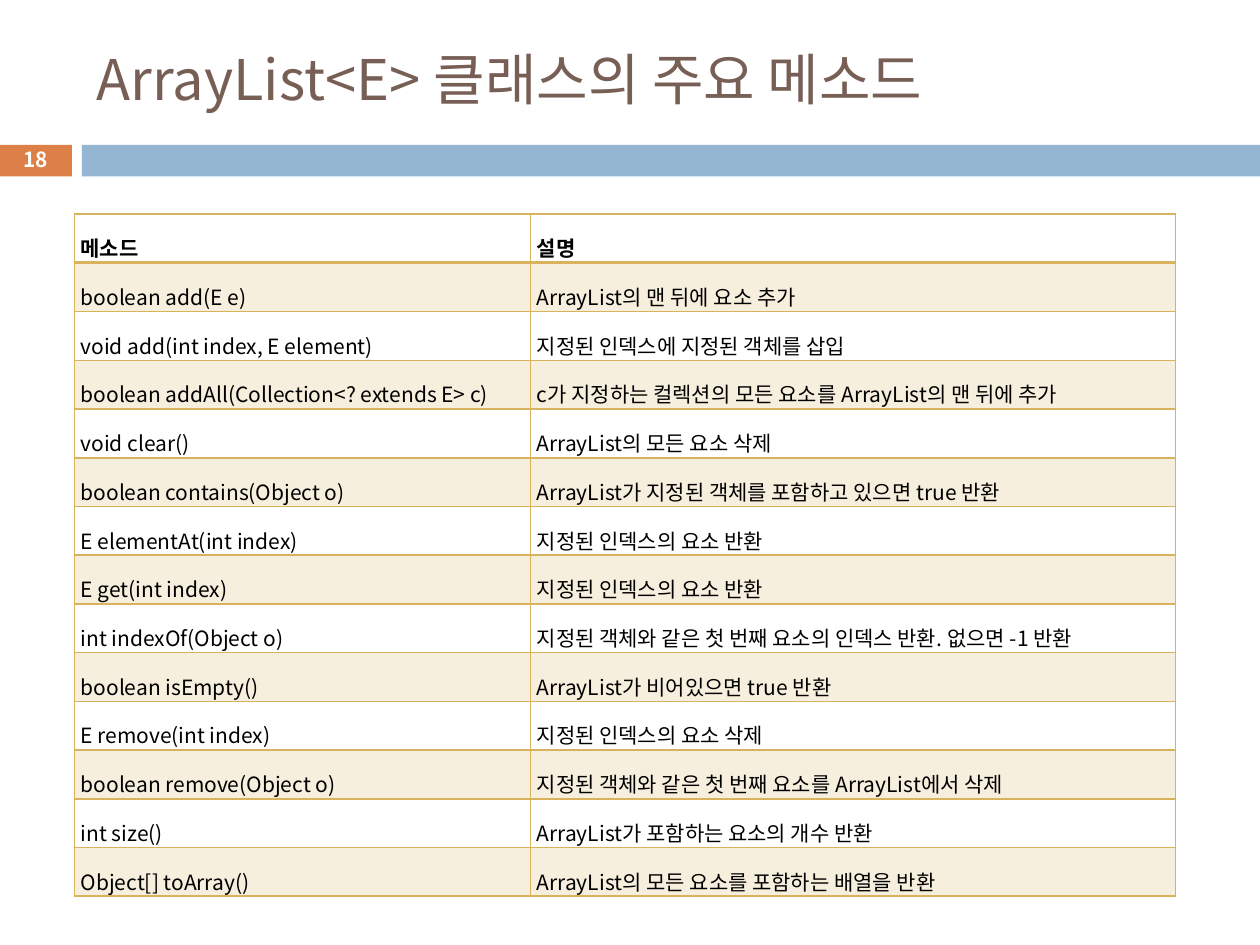
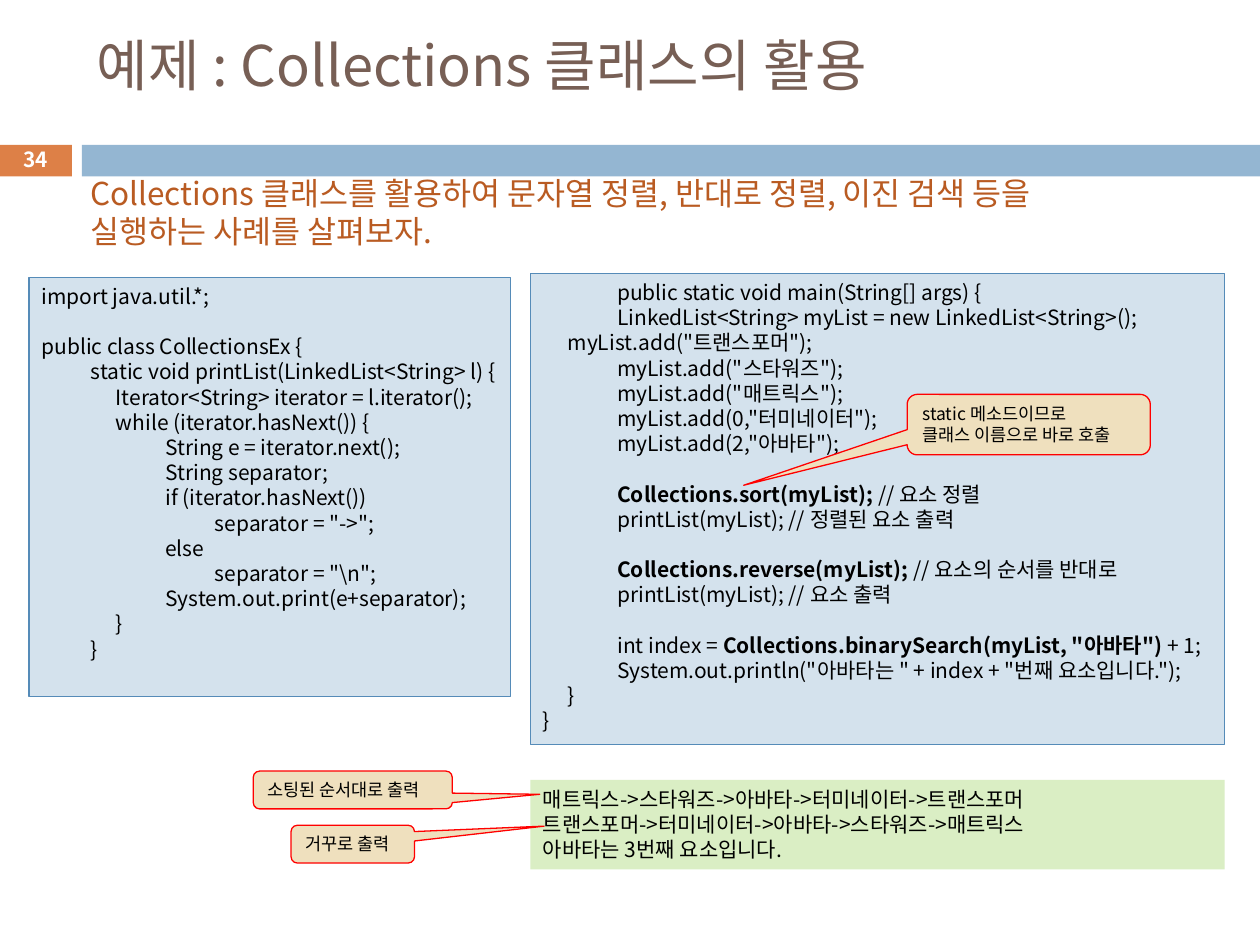
from lxml.etree import SubElement
from pptx import Presentation
from pptx.dml.color import RGBColor
from pptx.enum.shapes import MSO_SHAPE as Preset
from pptx.enum.text import MSO_ANCHOR as Anchor, PP_ALIGN as Align
from pptx.oxml.ns import qn
from pptx.util import Pt

FONT = "Noto Sans CJK KR"
COLORS = {
    "title": "775F55",
    "number_band": "DD8047",
    "title_band": "94B6D2",
    "white": "FFFFFF",
    "text": "000000",
    "gold": "D8B25C",
    "code_fill": "D4E2ED",
    "code_line": "558BB8",
    "output_fill": "DAEEC4",
    "callout_fill": "EFE0BE",
    "callout_line": "FF0000",
    "intro": "B95B22",
}
TAB_STEP = 14.17
TAB_COUNT = 7
ROW_HEIGHT = 27.86
COLUMN_WIDTHS = (260.64, 368.64)

METHODS = [
    ("메소드", "설명"),
    ("boolean add(E e)", "ArrayList의 맨 뒤에 요소 추가"),
    ("void add(int index, E element)", "지정된 인덱스에 지정된 객체를 삽입"),
    ("boolean addAll(Collection<? extends E> c)", "c가 지정하는 컬렉션의 모든 요소를 ArrayList의 맨 뒤에 추가"),
    ("void clear()", "ArrayList의 모든 요소 삭제"),
    ("boolean contains(Object o)", "ArrayList가 지정된 객체를 포함하고 있으면 true 반환"),
    ("E elementAt(int index)", "지정된 인덱스의 요소 반환"),
    ("E get(int index)", "지정된 인덱스의 요소 반환"),
    ("int indexOf(Object o)", "지정된 객체와 같은 첫 번째 요소의 인덱스 반환. 없으면 -1 반환"),
    ("boolean isEmpty()", "ArrayList가 비어있으면 true 반환"),
    ("E remove(int index)", "지정된 인덱스의 요소 삭제"),
    ("boolean remove(Object o)", "지정된 객체와 같은 첫 번째 요소를 ArrayList에서 삭제"),
    ("int size()", "ArrayList가 포함하는 요소의 개수 반환"),
    ("Object[] toArray()", "ArrayList의 모든 요소를 포함하는 배열을 반환"),
]

PRINT_LIST_CODE = r"""import java.util.*;
	
public class CollectionsEx {
		static void printList(LinkedList<String> l) {
			Iterator<String> iterator = l.iterator();
			while (iterator.hasNext()) {
					String e = iterator.next();
					String separator;
					if (iterator.hasNext())
							separator = "->";
					else
							separator = "\n";
					System.out.print(e+separator);
			}
		}"""

MAIN_CODE = """\
			public static void main(String[] args) {
			LinkedList<String> myList = new LinkedList<String>();
	myList.add("트랜스포머");
			myList.add("스타워즈");
			myList.add("매트릭스");
			myList.add(0,"터미네이터");
			myList.add(2,"아바타");
			
			**Collections.sort(myList); **// 요소 정렬
			printList(myList); // 정렬된 요소 출력
			
			**Collections.reverse(myList); **// 요소의 순서를 반대로
			printList(myList); // 요소 출력
			
			int index = **Collections.binarySearch(myList, "아바타") **+ 1;
			System.out.println("아바타는 " + index + "번째 요소입니다.");
	}
}"""

OUTPUT = """매트릭스->스타워즈->아바타->터미네이터->트랜스포머
트랜스포머->터미네이터->아바타->스타워즈->매트릭스
아바타는 3번째 요소입니다."""

INTRO = """Collections 클래스를 활용하여 문자열 정렬, 반대로 정렬, 이진 검색 등을
실행하는 사례를 살펴보자."""


def color(name):
    return RGBColor.from_string(COLORS[name])


def add_span(para, text, size, ink="text", bold=False):
    span = para.add_run()
    span.text = text
    font = span.font
    font.size, font.bold, font.name = Pt(size), bold, FONT
    font.color.rgb = color(ink)
    SubElement(font._element, qn("a:ea"), typeface=FONT)


def set_tabs(para):
    tabs = SubElement(para._p.get_or_add_pPr(), qn("a:tabLst"))
    for stop in range(1, TAB_COUNT + 1):
        SubElement(tabs, qn("a:tab"), pos=str(Pt(stop * TAB_STEP)), algn="l")


def write_lines(box, text, size, ink="text"):
    frame = box.text_frame
    frame.word_wrap = True
    frame.vertical_anchor = Anchor.TOP
    for index, line in enumerate(text.split("\n")):
        para = frame.add_paragraph() if index else frame.paragraphs[0]
        para.alignment = Align.LEFT
        para.line_spacing = Pt(1.2 * size)
        if "\t" in line:
            set_tabs(para)
        for part, words in enumerate(line.split("**")):
            if words:
                add_span(para, words, size, ink, bold=part % 2 == 1)


def write_label(page, text, place, size, ink, align=Align.LEFT, bold=False):
    box = page.shapes.add_textbox(*map(Pt, place))
    frame = box.text_frame
    frame.word_wrap = True
    frame.vertical_anchor = Anchor.MIDDLE
    frame.paragraphs[0].alignment = align
    add_span(frame.paragraphs[0], text, size, ink, bold)


def add_panel(page, place, fill, line=None, preset=Preset.RECTANGLE):
    panel = page.shapes.add_shape(preset, *map(Pt, place))
    panel.shadow.inherit = False
    panel.fill.solid()
    panel.fill.fore_color.rgb = color(fill)
    if line:
        panel.line.color.rgb = color(line)
        panel.line.width = Pt(0.75)
    else:
        panel.line.fill.background()
    return panel


def add_code(page, place, text):
    panel = add_panel(page, place, "code_fill", "code_line")
    panel.text_frame.margin_right = 0
    write_lines(panel, text, 12)


def add_callout(page, place, pointer, text):
    callout = add_panel(page, place, "callout_fill", "callout_line", Preset.ROUNDED_RECTANGULAR_CALLOUT)
    for index, value in enumerate((*pointer, 0.167)):
        callout.adjustments[index] = value
    write_lines(callout, text, 10)


def add_page(deck, number, title, title_top, title_height):
    page = deck.slides.add_slide(deck.slide_layouts[6])
    add_panel(page, (-0.72, 82.8, 41.76, 18), "number_band")
    add_panel(page, (46.8, 82.8, 673.2, 18), "title_band")
    write_label(page, title, (48.24, title_top, 642.24, title_height), 32, "title")
    write_label(page, number, (-0.72, 81.36, 41.76, 19.44), 11.9, "white", Align.CENTER, True)
    return page


def set_borders(cell, top, bottom):
    properties = cell._tc.get_or_add_tcPr()
    for side, width in (("L", 1), ("R", 1), ("T", top), ("B", bottom)):
        line = SubElement(properties, qn(f"a:ln{side}"), w=str(Pt(width)))
        fill = SubElement(line, qn("a:solidFill"))
        SubElement(fill, qn("a:srgbClr"), val=COLORS["gold"])


def tint_cell(cell):
    cell.fill.solid()
    cell.fill.fore_color.rgb = color("gold")
    tint = cell._tc.tcPr.find(f"{qn('a:solidFill')}/{qn('a:srgbClr')}")
    SubElement(tint, qn("a:alpha"), val="20000")


def add_method_table(page):
    frame = page.shapes.add_table(
        len(METHODS), 2, Pt(42.48), Pt(122.4), Pt(sum(COLUMN_WIDTHS)), Pt(ROW_HEIGHT * len(METHODS)))
    table = frame.table
    table.horz_banding = False
    for column, width in zip(table.columns, COLUMN_WIDTHS):
        column.width = Pt(width)
    for row_index, texts in enumerate(METHODS):
        table.rows[row_index].height = Pt(ROW_HEIGHT)
        for column_index, text in enumerate(texts):
            cell = table.cell(row_index, column_index)
            cell.margin_left = cell.margin_right = Pt(3.6)
            cell.margin_top = cell.margin_bottom = 0
            cell.vertical_anchor = Anchor.MIDDLE
            set_borders(cell, 2 if row_index == 1 else 1, 2 if row_index == 0 else 1)
            if row_index % 2:
                tint_cell(cell)
            else:
                cell.fill.background()
            para = cell.text_frame.paragraphs[0]
            para.alignment = Align.JUSTIFY
            para.line_spacing = 1.6
            add_span(para, text, 12, bold=row_index == 0)


def main():
    deck = Presentation()
    deck.slide_width, deck.slide_height = Pt(720), Pt(540)

    page = add_page(deck, "18", "ArrayList<E> 클래스의 주요 메소드", 18, 53.28)
    add_method_table(page)

    page = add_page(deck, "34", "예제 : Collections 클래스의 활용", 0, 73.44)
    add_code(page, (16.56, 158.4, 275.04, 239.76), PRINT_LIST_CODE)
    write_lines(add_panel(page, (303.12, 445.68, 396.72, 51.12), "output_fill"), OUTPUT, 12)
    intro = page.shapes.add_textbox(Pt(44.64), Pt(95.76), Pt(632.16), Pt(51.12))
    write_lines(intro, INTRO, 18, "intro")
    add_code(page, (303.12, 156.24, 396.72, 269.28), MAIN_CODE)
    add_callout(page, (144.72, 440.64, 113.76, 21.6), (0.939, 0.115), "소팅된 순서대로 출력")
    add_callout(page, (166.32, 471.6, 70.56, 21.6), (1.55, -0.476), "거꾸로 출력")
    add_callout(page, (518.4, 225.36, 138.96, 34.56), (-1.172, 1.003),
                "static 메소드이므로\n클래스 이름으로 바로 호출")

    deck.save("out.pptx")


if __name__ == "__main__":
    main()
